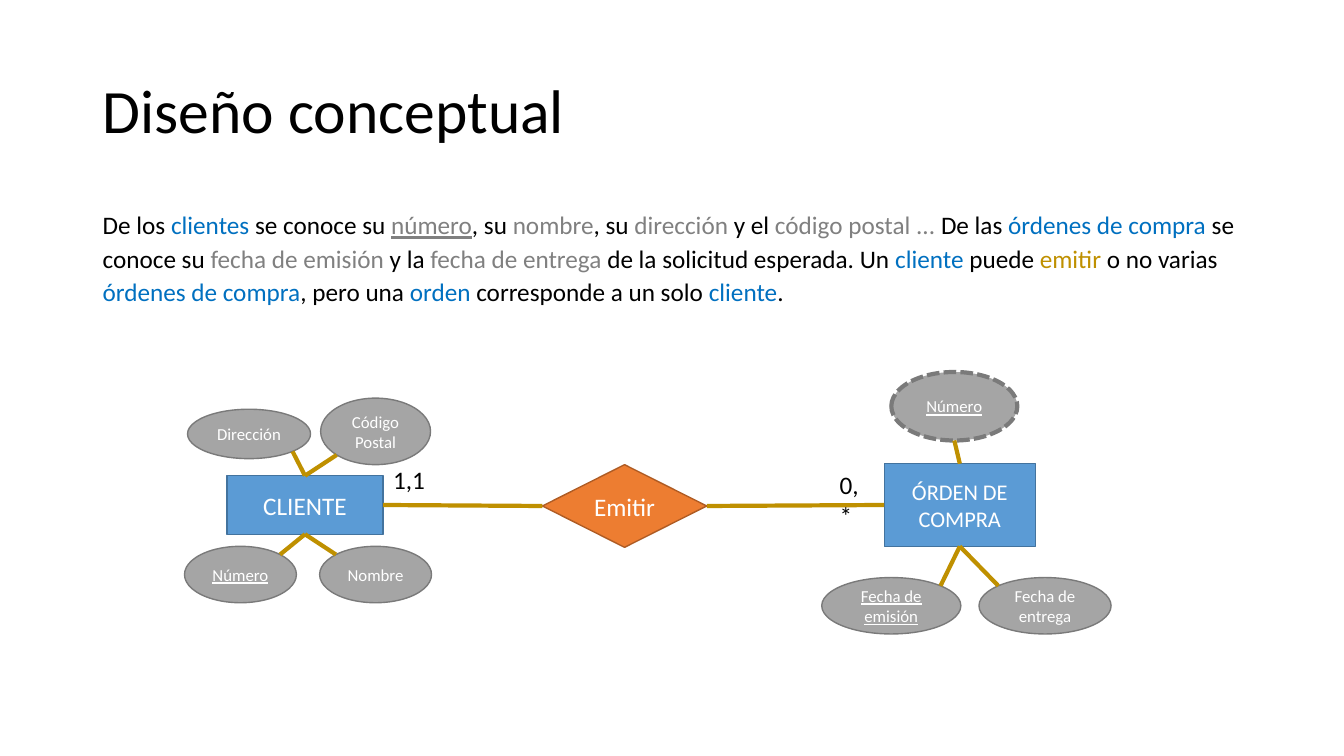
from collections import namedtuple

from lxml.etree import SubElement
from pptx import Presentation
from pptx.dml.color import RGBColor
from pptx.enum.dml import MSO_LINE
from pptx.enum.shapes import MSO_CONNECTOR, MSO_SHAPE
from pptx.enum.text import MSO_ANCHOR, MSO_AUTO_SIZE, PP_ALIGN
from pptx.oxml.ns import qn
from pptx.util import Inches, Pt

Box = namedtuple("Box", "left top width height")
Attribute = namedtuple("Attribute", "label box site key dashed", defaults=(False, False))

COLORS = {
    "text": "000000", "white": "FFFFFF", "entity": "0070C0", "attribute": "808080",
    "relation": "BF9000", "entity_fill": "5B9BD5", "entity_line": "43739E",
    "diamond_fill": "ED7D31", "diamond_line": "AF5C24",
    "oval_fill": "A5A5A5", "oval_line": "7A7A7A",
}
TOP, LEFT, BOTTOM, RIGHT = range(4)
NEAR, FAR = 0.146, 0.854
SITES = {
    "bottom": (0.5, 1), "top_left": (NEAR, NEAR), "top_right": (FAR, NEAR),
    "bottom_left": (NEAR, FAR), "bottom_right": (FAR, FAR),
}

STATEMENT = [
    ("De los ", "text"), ("clientes ", "entity"), ("se conoce su ", "text"),
    ("número", "key"), (", su ", "text"), ("nombre", "attribute"), (", su ", "text"),
    ("dirección ", "attribute"), ("y el ", "text"), ("código postal ... ", "attribute"),
    ("De las ", "text"), ("órdenes de compra", "entity"), (" se conoce su ", "text"),
    ("fecha de emisión", "attribute"), (" y la ", "text"), ("fecha de entrega", "attribute"),
    (" de la solicitud esperada. Un ", "text"), ("cliente ", "entity"), ("puede ", "text"),
    ("emitir ", "relation"), ("o no varias ", "text"), ("órdenes de compra", "entity"),
    (", pero una ", "text"), ("orden ", "entity"), ("corresponde a un solo ", "text"),
    ("cliente", "entity"), (".", "text"),
]
CLIENT_ATTRIBUTES = [
    Attribute("Número", Box(-0.42, 0.7, 1.11, 0.56), "top_right", key=True),
    Attribute("Nombre", Box(0.92, 0.7, 1.11, 0.56), "top_left"),
    Attribute("Código Postal", Box(0.93, -0.77, 1.09, 0.66), "bottom_left"),
    Attribute("Dirección", Box(-0.39, -0.66, 1.22, 0.49), "bottom_right"),
]
ORDER_ATTRIBUTES = [
    Attribute("Fecha de emisión", Box(-0.62, 1.13, 1.38, 0.56), "top_right", key=True),
    Attribute("Fecha de entrega", Box(0.94, 1.13, 1.31, 0.56), "top_left"),
    Attribute("Número", Box(0.07, -0.91, 1.25, 0.68), "bottom", key=True, dashed=True),
]


def apply_format(target, values):
    """Set each named attribute of the target."""
    for name, value in values.items():
        setattr(target, name, value)


def add_span(para, text, size, color, underline=False):
    """Append one formatted run to a paragraph."""
    span = para.add_run()
    span.text = text
    apply_format(span.font, {"name": "Calibri", "size": Pt(size), "underline": underline})
    span.font.color.rgb = RGBColor.from_string(COLORS[color])


def add_title(slide, box, text):
    """Place and format the title placeholder."""
    title = slide.shapes.title
    apply_format(title, {name: Inches(value) for name, value in box._asdict().items()})
    frame = title.text_frame
    apply_format(frame, {"vertical_anchor": MSO_ANCHOR.MIDDLE, "word_wrap": True,
                         "auto_size": MSO_AUTO_SIZE.NONE})
    para = frame.paragraphs[0]
    apply_format(para, {"alignment": PP_ALIGN.LEFT, "line_spacing": 0.9})
    add_span(para, text, 44, "text")


def add_statement(slide, box, parts):
    """Write the problem statement with its terms in colour."""
    frame = slide.shapes.add_textbox(*map(Inches, box)).text_frame
    frame.word_wrap = True
    para = frame.paragraphs[0]
    apply_format(para, {"line_spacing": 1.1, "space_before": Pt(10)})
    for text, role in parts:
        is_key = role == "key"
        add_span(para, text, 18, "attribute" if is_key else role, is_key)


def add_node(slide, kind, box, label, size, palette, underline=False):
    """Draw a filled shape with a centred label."""
    node = slide.shapes.add_shape(kind, *map(Inches, box))
    node.shadow.inherit = False
    node.fill.solid()
    node.fill.fore_color.rgb = RGBColor.from_string(COLORS[palette + "_fill"])
    node.line.color.rgb = RGBColor.from_string(COLORS[palette + "_line"])
    node.line.width = Pt(1)
    apply_format(node.text_frame, {"word_wrap": True, "vertical_anchor": MSO_ANCHOR.MIDDLE})
    para = node.text_frame.paragraphs[0]
    para.alignment = PP_ALIGN.CENTER
    add_span(para, label, size, "white", underline)
    return node


def add_link(slide, node, site, end=(0, 0)):
    """Draw a line from a connection site of a node to a point."""
    link = slide.shapes.add_connector(MSO_CONNECTOR.STRAIGHT, 0, 0, *map(Inches, end))
    link.begin_connect(node, site)
    link.line.color.rgb = RGBColor.from_string(COLORS["relation"])
    link.line.width = Pt(3)
    SubElement(link._element.spPr, qn("a:effectLst"))
    return link


def add_entity(slide, box, label, size, attributes):
    """Draw an entity and the attributes around it."""
    entity = add_node(slide, MSO_SHAPE.RECTANGLE, box, label, size, "entity")
    for item in attributes:
        place = item.box._replace(left=box.left + item.box.left, top=box.top + item.box.top)
        oval = add_node(slide, MSO_SHAPE.OVAL, place, item.label, 12, "oval", item.key)
        if item.dashed:
            apply_format(oval.line, {"width": Pt(3), "dash_style": MSO_LINE.SQUARE_DOT})
        across, down = SITES[item.site]
        end = (place.left + across * place.width, place.top + down * place.height)
        add_link(slide, entity, TOP if item.box.top < 0 else BOTTOM, end)
    return entity


def add_cardinality(slide, box, text):
    """Write a cardinality beside an entity."""
    frame = slide.shapes.add_textbox(*map(Inches, box)).text_frame
    apply_format(frame, {"word_wrap": False, "auto_size": MSO_AUTO_SIZE.SHAPE_TO_FIT_TEXT})
    add_span(frame.paragraphs[0], text, 18, "text")


def add_relation(slide, box, label, left_entity, right_entity):
    """Draw a relation and join it to its two entities."""
    relation = add_node(slide, MSO_SHAPE.DIAMOND, box, label, 18, "diamond")
    add_link(slide, left_entity, RIGHT).end_connect(relation, LEFT)
    add_link(slide, relation, RIGHT).end_connect(right_entity, LEFT)


def main():
    """Build the conceptual design slide."""
    deck = Presentation()
    apply_format(deck, {"slide_width": Inches(13.33), "slide_height": Inches(7.5)})
    slide = deck.slides.add_slide(deck.slide_layouts.get_by_name("Title Only"))
    add_title(slide, Box(0.92, 0.4, 11.5, 1.45), "Diseño conceptual")
    add_statement(slide, Box(0.92, 2, 11.5, 1.28), STATEMENT)
    order = add_entity(slide, Box(8.77, 4.6, 1.5, 0.82), "ÓRDEN DE COMPRA", 16, ORDER_ATTRIBUTES)
    client = add_entity(slide, Box(2.25, 4.72, 1.55, 0.58), "CLIENTE", 18, CLIENT_ATTRIBUTES)
    add_relation(slide, Box(5.38, 4.61, 1.63, 0.82), "Emitir", client, order)
    add_cardinality(slide, Box(3.8, 4.56, 0.52, 0.4), "1,1")
    add_cardinality(slide, Box(8.23, 4.61, 0.51, 0.4), "0,*")
    deck.save("out.pptx")


if __name__ == "__main__":
    main()
